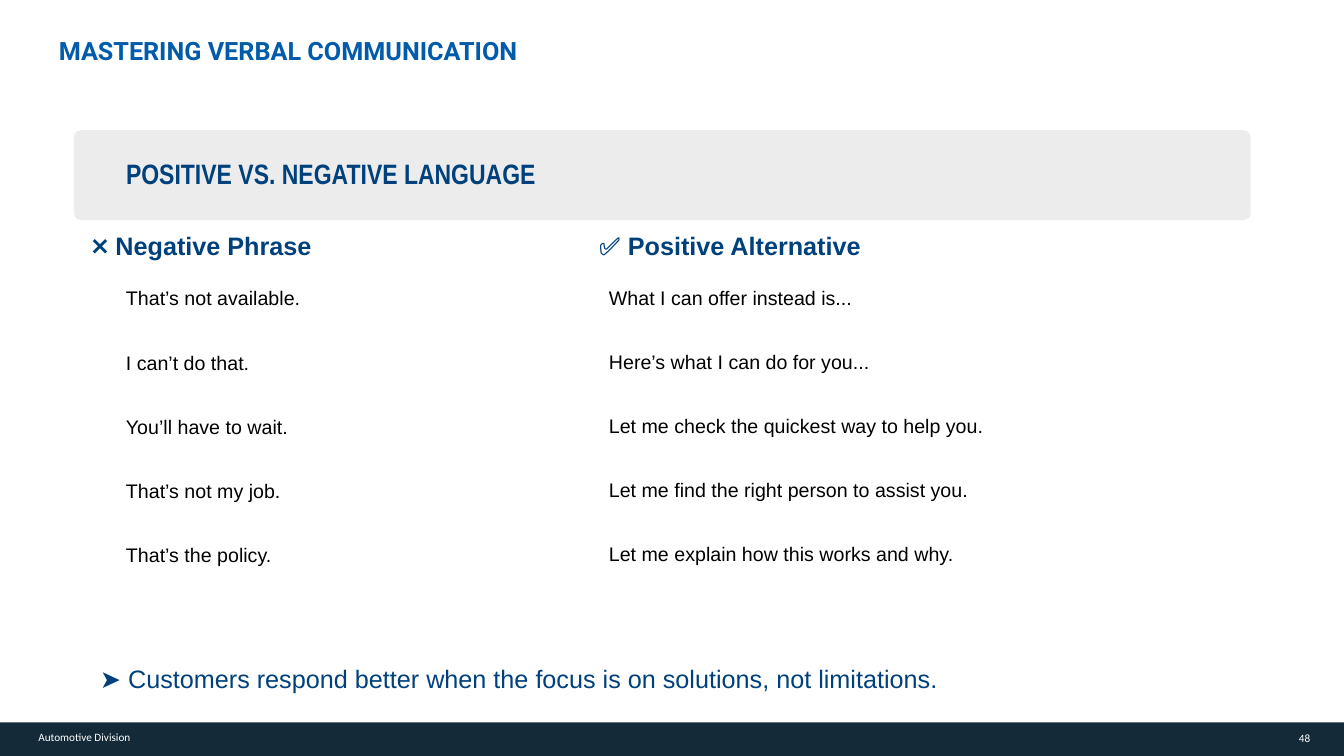
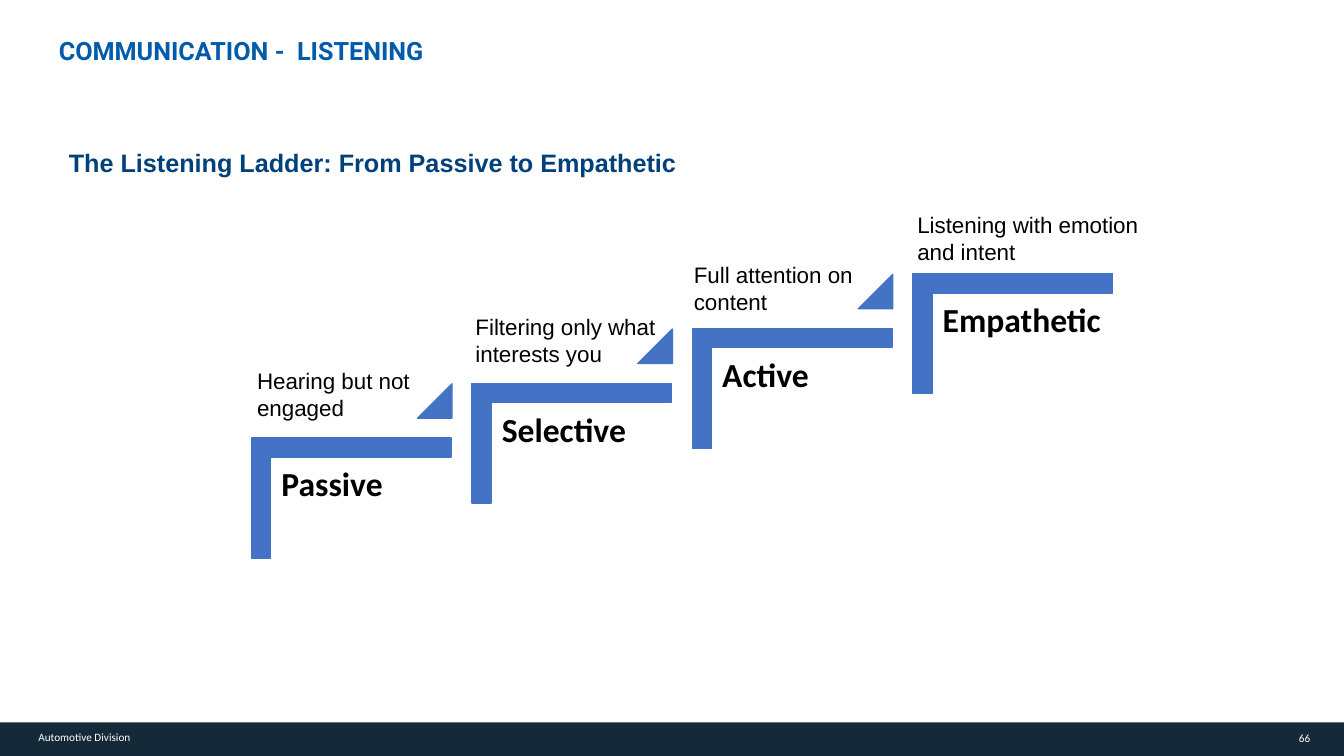
from dataclasses import dataclass
from typing import Any

from lxml.etree import SubElement
from pptx import Presentation
from pptx.dml.color import RGBColor
from pptx.enum.shapes import MSO_SHAPE as Form
from pptx.enum.text import MSO_ANCHOR as Anchor, PP_ALIGN as Align
from pptx.oxml.ns import qn
from pptx.util import Inches, Pt

COLS, ROWS = 160, 90
WIDE, HIGH = Inches(13.333), Inches(7.5)

NIGHT = "152A38"
AZURE = "005BAA"
NAVY = "00417C"
STAIR = "4472C4"
GRAY = "808080"
BLACK = "000000"
WHITE = "FFFFFF"


@dataclass(frozen=True)
class Box:
    left: float
    top: float
    width: float
    height: float

    def shift(self, right: float, up: float) -> "Box":
        return Box(self.left + right, self.top - up, self.width, self.height)

    def place(self) -> tuple[int, int, int, int]:
        return (across(self.left), down(self.top),
                across(self.width), down(self.height))


@dataclass(frozen=True)
class Font:
    size: float
    color: str
    name: str = "Arial"
    bold: bool = False


@dataclass(frozen=True)
class Run:
    text: str
    font: Font


@dataclass(frozen=True)
class Grid:
    box: Box
    rows: list[list[Run]]


@dataclass(frozen=True)
class Step:
    name: str
    note: str
    left: float
    top: float


TITLE = Font(18, AZURE, "Roboto", True)
HEAD = Font(20, NAVY, "Arial Narrow", True)
LEAD = Font(18, NAVY)
STRONG = Font(18, NAVY, bold=True)
CELL = Font(14, BLACK)
NOTE = Font(16, BLACK)
LABEL = Font(24, BLACK, "Calibri", True)
SMALL = Font(8, WHITE, "Calibri")

SNUG = (0, 0)
PAD = (1.2, 0.6)
EVEN = (1.2, 1.2)

PITCH, RISE = 26.24, 6.52
CORNER = Box(34.68, 47.4, 14.28, 23.76)
NAME = Box(32.3, 54.5, 21.5, 18.8)
ARROW = Box(49.7, 45.7, 4.1, 4.1)

STEPS = [
    Step("Passive", "Hearing but not engaged", 29.4, 43.1),
    Step("Selective", "Filtering only what interests you", 55.4, 36.7),
    Step("Active", "Full attention on content", 81.4, 30.5),
    Step("Empathetic", "Listening with emotion and intent", 108, 24.6),
]

PHRASES = [
    ("That’s not available.", "What I can offer instead is..."),
    ("I can’t do that.", "Here’s what I can do for you..."),
    ("You’ll have to wait.", "Let me check the quickest way to help you."),
    ("That’s not my job.", "Let me find the right person to assist you."),
    ("That’s the policy.", "Let me explain how this works and why."),
]


def across(cols: float) -> int:
    return round(WIDE * cols / COLS)


def down(rows: float) -> int:
    return round(HIGH * rows / ROWS)


def paint(target: Any, color: str) -> None:
    target.solid()
    target.fore_color.rgb = RGBColor.from_string(color)


def write(line: Any, runs: list[Run]) -> None:
    for item in runs:
        run = line.add_run()
        run.text = item.text
        run.font.name = item.font.name
        run.font.size = Pt(item.font.size)
        run.font.bold = item.font.bold
        run.font.color.rgb = RGBColor.from_string(item.font.color)


def add_text(shapes: Any, box: Box, text: str, font: Font,
             pad: tuple[float, float] = PAD, anchor: Any = Anchor.TOP,
             align: Any = Align.LEFT, lead: float = 1) -> None:
    frame = shapes.add_textbox(*box.place()).text_frame
    frame.word_wrap = True
    frame.vertical_anchor = anchor
    frame.margin_left = frame.margin_right = across(pad[0])
    frame.margin_top = frame.margin_bottom = down(pad[1])
    line = frame.paragraphs[0]
    line.alignment = align
    line.line_spacing = lead
    write(line, [Run(text, font)])


def add_form(shapes: Any, form: Any, box: Box, color: str,
             adjust: tuple[float, ...] = (), edge: bool = False) -> Any:
    shape = shapes.add_shape(form, *box.place())
    shape.shadow.inherit = False
    for spot, value in enumerate(adjust):
        shape.adjustments[spot] = value
    paint(shape.fill, color)
    if edge:
        paint(shape.line.fill, color)
        shape.line.width = Pt(1)
    else:
        shape.line.fill.background()
    return shape


def fade(shape: Any, share: float) -> None:
    tone = shape.fill._xPr.find(qn("a:solidFill"))[0]
    SubElement(tone, qn("a:alpha"), val=str(round(share * 100000)))


def add_grid(shapes: Any, grid: Grid) -> None:
    table = shapes.add_table(len(grid.rows), 1, *grid.box.place()).table
    table.first_row = table.horz_banding = False
    for spot, runs in enumerate(grid.rows):
        table.rows[spot].height = down(grid.box.height / len(grid.rows))
        cell = table.cell(spot, 0)
        cell.fill.background()
        cell.vertical_anchor = Anchor.MIDDLE
        cell.margin_left = cell.margin_right = across(PAD[0])
        cell.margin_top = cell.margin_bottom = down(PAD[1])
        write(cell.text_frame.paragraphs[0], runs)


def add_page(deck: Any, title: str, number: int) -> Any:
    shapes = deck.slides.add_slide(deck.slide_layouts[6]).shapes
    add_form(shapes, Form.RECTANGLE, Box(0, 86, 160, 4), NIGHT)
    add_text(shapes, Box(148, 87.1, 8, 1.6), str(number), SMALL,
             SNUG, Anchor.MIDDLE, Align.RIGHT)
    add_text(shapes, Box(3.36, 86.4, 20, 2.9), "Automotive Division", SMALL)
    add_text(shapes, Box(7, 4.2, 143, 3.6), title, TITLE, SNUG)
    return shapes


def phrase_page(deck: Any) -> None:
    shapes = add_page(deck, "MASTERING VERBAL COMMUNICATION", 48)
    band = add_form(shapes, Form.ROUNDED_RECTANGLE,
                    Box(8.8, 15.5, 140.1, 10.7), GRAY, (0.08,))
    fade(band, 0.15)
    add_text(shapes, Box(10.7, 78.4, 143, 10.7),
             "➤ Customers respond better when the focus is on solutions, "
             "not limitations.", LEAD)
    add_text(shapes, Box(13.8, 18.1, 74.2, 5),
             "POSITIVE VS. NEGATIVE LANGUAGE", HEAD, anchor=Anchor.MIDDLE)
    bad, good = zip(*PHRASES)
    grids = [
        Grid(Box(9.7, 27, 54, 4.8),
             [[Run("❌ ", LEAD), Run("Negative Phrase", STRONG)]]),
        Grid(Box(13.8, 31.8, 65.6, 38.15), [[Run(t, CELL)] for t in bad]),
        Grid(Box(71.3, 31.7, 74.5, 38.15), [[Run(t, CELL)] for t in good]),
        Grid(Box(70.1, 27, 63.2, 4.8),
             [[Run("✅ ", LEAD), Run("Positive Alternative", STRONG)]]),
    ]
    for grid in grids:
        add_grid(shapes, grid)


def ladder_page(deck: Any) -> None:
    shapes = add_page(deck, "COMMUNICATION -  LISTENING", 66)
    add_text(shapes, Box(7, 16.7, 102.2, 4.8),
             "The Listening Ladder: From Passive to Empathetic", STRONG,
             lead=1.07)
    stairs = shapes.add_group_shape().shapes
    for spot, step in enumerate(STEPS):
        move = (spot * PITCH, spot * RISE)
        corner = add_form(stairs, Form.CORNER, CORNER.shift(*move), STAIR,
                          (0.16, 0.16), True)
        corner.rotation = 90
        add_text(stairs, NAME.shift(*move), step.name, LABEL, EVEN, lead=0.9)
        if step is not STEPS[-1]:
            add_form(stairs, Form.ISOSCELES_TRIANGLE, ARROW.shift(*move),
                     STAIR, (1,), True)
    for step in STEPS:
        add_text(shapes, Box(step.left, step.top, 30.6, 7.7), step.note, NOTE)


def main() -> None:
    deck = Presentation()
    deck.slide_width, deck.slide_height = WIDE, HIGH
    phrase_page(deck)
    ladder_page(deck)
    deck.save("out.pptx")


if __name__ == "__main__":
    main()
